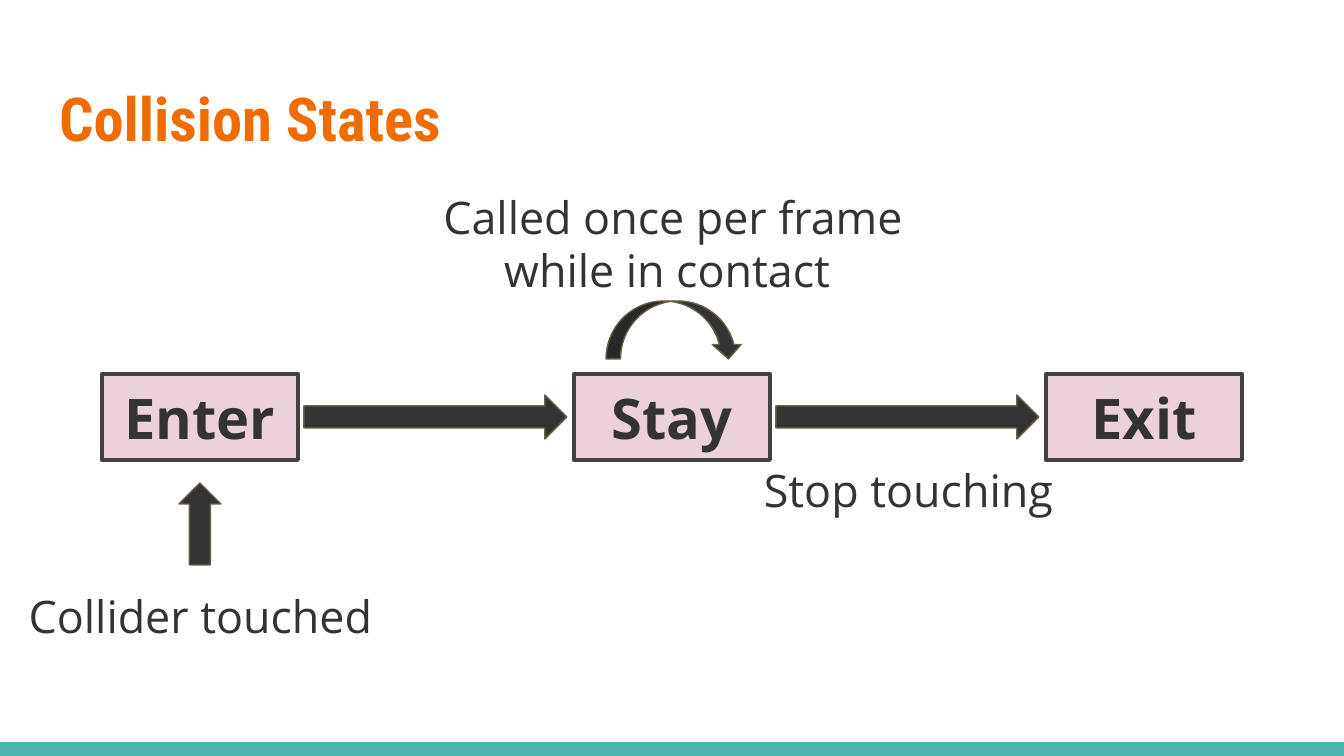
from pptx import Presentation
from pptx.dml.color import RGBColor
from pptx.enum.shapes import MSO_SHAPE
from pptx.enum.text import MSO_ANCHOR, PP_ALIGN
from pptx.util import Emu, Inches, Pt

EMU_PER_PX = 914400 / 134.4
COLORS = {
    "page": "FFFFFF",
    "band": "4DB6AC",
    "title": "EF6C00",
    "ink": "333333",
    "state": "EAD1DC",
    "state_line": "434343",
    "arrow_line": "695D46",
}


def px(length):
    return Emu(round(length * EMU_PER_PX))


def color(name):
    return RGBColor.from_string(COLORS[name])


class StateSlide:
    body_font = "Open Sans"
    title_font = "Roboto Condensed"

    def __init__(self, deck):
        self.page = deck.slides.add_slide(deck.slide_layouts[6])
        self.page.background.fill.solid()
        self.page.background.fill.fore_color.rgb = color("page")

    def shape(self, kind, bounds, fill, line=None, width=0.75):
        shape = self.page.shapes.add_shape(kind, *map(px, bounds))
        shape.shadow.inherit = False
        shape.fill.solid()
        shape.fill.fore_color.rgb = color(fill)
        if line:
            shape.line.color.rgb = color(line)
            shape.line.width = Pt(width)
        else:
            shape.line.fill.background()
        return shape

    def set_text(self, box, text, size, font=body_font, ink="ink", bold=False,
                 align=PP_ALIGN.CENTER, anchor=MSO_ANCHOR.TOP):
        frame = box.text_frame
        frame.word_wrap = True
        frame.vertical_anchor = anchor
        frame.margin_left = frame.margin_right = Inches(0.1)
        frame.margin_top = frame.margin_bottom = Inches(0.1)
        frame.text = text
        para = frame.paragraphs[0]
        para.alignment = align
        for span in para.runs:
            span.font.name = font
            span.font.size = Pt(size)
            span.font.bold = bold
            span.font.color.rgb = color(ink)

    def title(self, text, bounds):
        box = self.page.shapes.add_textbox(*map(px, bounds))
        self.set_text(box, text, 32.4, self.title_font, "title", True,
                      PP_ALIGN.LEFT, MSO_ANCHOR.MIDDLE)

    def label(self, text, bounds):
        box = self.page.shapes.add_textbox(*map(px, bounds))
        self.set_text(box, text, 24)

    def state(self, name, bounds):
        box = self.shape(MSO_SHAPE.RECTANGLE, bounds, "state", "state_line", 2.25)
        self.set_text(box, name, 30, bold=True, anchor=MSO_ANCHOR.MIDDLE)

    def arrow(self, kind, bounds, rotation=0):
        arrow = self.shape(kind, bounds, "ink", "arrow_line")
        arrow.rotation = rotation
        return arrow


def main():
    deck = Presentation()
    deck.slide_width, deck.slide_height = px(1344), px(756)
    slide = StateSlide(deck)

    slide.shape(MSO_SHAPE.RECTANGLE, (0, 742, 1344, 14), "band")
    slide.title("Collision States", (46, 66, 1252, 103))

    first_left, pitch, state_width = 102, 472, 196
    states = ["Enter", "Stay", "Exit"]
    for index, name in enumerate(states):
        slide.state(name, (first_left + index * pitch, 374, state_width, 86))
    for index in range(len(states) - 1):
        left = first_left + index * pitch + state_width + 6
        slide.arrow(MSO_SHAPE.RIGHT_ARROW, (left, 395, 263, 44))

    slide.label("Stop touching", (688, 449, 441, 82))
    loop = slide.arrow(MSO_SHAPE.CURVED_DOWN_ARROW, (606, 301, 137, 58))
    for index, value in enumerate((0.25, 0.5, 0.25)):
        loop.adjustments[index] = value
    slide.label("Called once per frame while in contact ", (380, 176, 586, 136))
    slide.arrow(MSO_SHAPE.RIGHT_ARROW, (159, 503, 82, 42), 270)
    slide.label("Collider touched", (-20, 575, 441, 82))

    deck.save("out.pptx")


if __name__ == "__main__":
    main()
